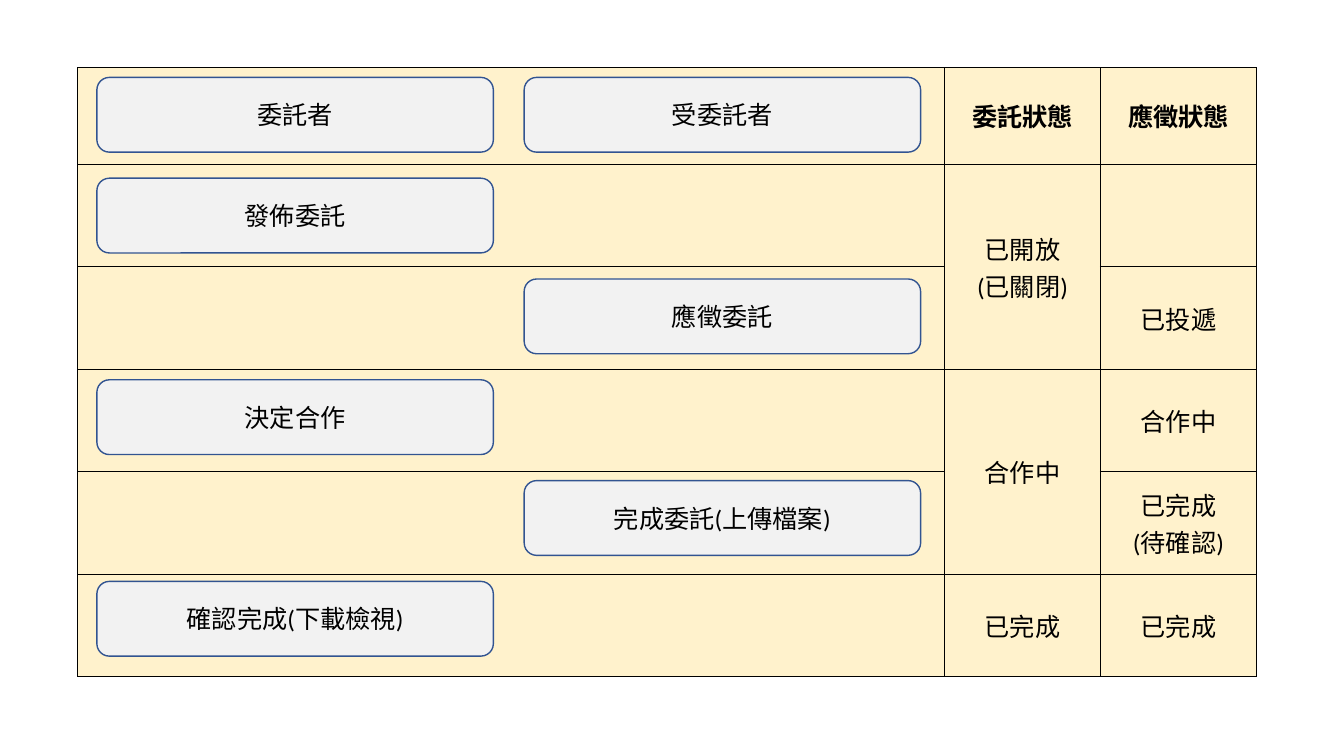
from lxml import etree
from pptx import Presentation
from pptx.dml.color import RGBColor
from pptx.enum.shapes import MSO_SHAPE
from pptx.enum.text import MSO_ANCHOR, PP_ALIGN
from pptx.oxml.ns import qn
from pptx.util import Pt

COLORS = {"cell": "FFF2CC", "box": "F2F2F2", "outline": "325491", "ink": "000000"}
FONT = "Calibri"

# Status table, in points
TABLE_LEFT, TABLE_TOP = 55.5, 48.3
COL_WIDTHS = [619.2, 111.4, 111.4]
ROW_HEIGHTS = [69.1] + [73.2] * 5
STATUSES = [
    ("委託狀態", "應徵狀態"),
    ("已開放\n(已關閉)", ""),
    ("", "已投遞"),
    ("合作中", "合作中"),
    ("", "已完成\n(待確認)"),
    ("已完成", "已完成"),
]
MERGED_STARTS = [1, 3]

# Step boxes: row, lane (0 = client, 1 = contractor), label
STEPS = [
    (0, 0, "委託者"),
    (0, 1, "受委託者"),
    (1, 0, "發佈委託"),
    (2, 1, "應徵委託"),
    (3, 0, "決定合作"),
    (4, 1, "完成委託(上傳檔案)"),
    (5, 0, "確認完成(下載檢視)"),
]
LANE_LEFTS = [69.2, 374.4]
BOX_TOP, BOX_STEP = 55.3, 72
BOX_WIDTH, BOX_HEIGHT = 283.2, 53.4


def rgb(name):
    return RGBColor.from_string(COLORS[name])


def write_text(frame, text, bold=False):
    frame.text = text
    for paragraph in frame.paragraphs:
        paragraph.alignment = PP_ALIGN.CENTER
        font = paragraph.font
        font.size, font.name, font.bold = Pt(18), FONT, bold
        font.color.rgb = rgb("ink")
        for run in paragraph.runs:
            run.font.size, run.font.name, run.font.bold = Pt(18), FONT, bold
            run.font.color.rgb = rgb("ink")


def add_borders(cell):
    properties = cell._tc.get_or_add_tcPr()
    for index, side in enumerate(("lnL", "lnR", "lnT", "lnB")):
        line = etree.Element(qn(f"a:{side}"), w=str(Pt(1)))
        fill = etree.SubElement(line, qn("a:solidFill"))
        etree.SubElement(fill, qn("a:srgbClr"), val=COLORS["ink"])
        properties.insert(index, line)


def add_status_table(slide):
    table = slide.shapes.add_table(
        len(ROW_HEIGHTS), len(COL_WIDTHS), Pt(TABLE_LEFT), Pt(TABLE_TOP),
        Pt(sum(COL_WIDTHS)), Pt(sum(ROW_HEIGHTS))).table
    for column, width in zip(table.columns, COL_WIDTHS):
        column.width = Pt(width)
    for row, height in zip(table.rows, ROW_HEIGHTS):
        row.height = Pt(height)

    for r, statuses in enumerate(STATUSES):
        for c, text in enumerate(("",) + statuses):
            cell = table.cell(r, c)
            cell.fill.solid()
            cell.fill.fore_color.rgb = rgb("cell")
            cell.vertical_anchor = MSO_ANCHOR.MIDDLE
            write_text(cell.text_frame, text, bold=r == 0)
            add_borders(cell)
    for start in MERGED_STARTS:
        table.cell(start, 1).merge(table.cell(start + 1, 1))


def add_step(slide, row, lane, label):
    box = slide.shapes.add_shape(
        MSO_SHAPE.ROUNDED_RECTANGLE, Pt(LANE_LEFTS[lane]),
        Pt(BOX_TOP + row * BOX_STEP), Pt(BOX_WIDTH), Pt(BOX_HEIGHT))
    box.shadow.inherit = False
    box.fill.solid()
    box.fill.fore_color.rgb = rgb("box")
    box.line.color.rgb = rgb("outline")
    box.line.width = Pt(1)
    box.text_frame.vertical_anchor = MSO_ANCHOR.MIDDLE
    write_text(box.text_frame, label)


def main():
    deck = Presentation()
    deck.slide_width, deck.slide_height = Pt(960), Pt(540)
    slide = deck.slides.add_slide(deck.slide_layouts[6])

    # Status grid behind, process steps on top
    add_status_table(slide)
    for step in STEPS:
        add_step(slide, *step)

    deck.save("out.pptx")


main()
